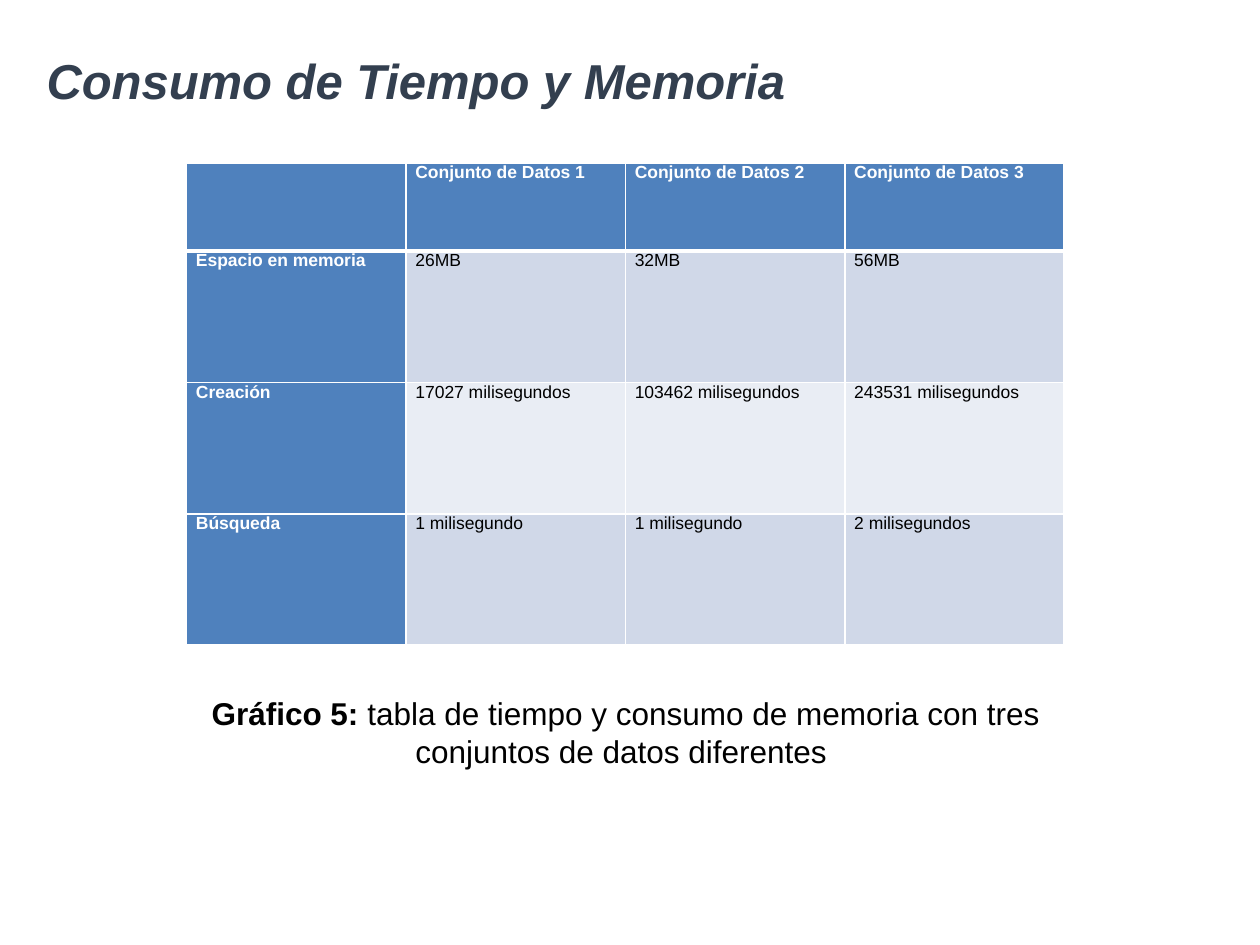
from pptx import Presentation
from pptx.dml.color import RGBColor
from pptx.enum import text
from pptx.oxml import parse_xml
from pptx.oxml.ns import nsdecls
from pptx.util import Pt

BLUE, WHITE, BLACK = "4F81BD", "FFFFFF", "000000"
BANDS = ["D0D8E8", "E9EDF4"]


def add_text(p, words, size=10, color=BLACK, bold=False, italic=False, align=None):
    r = p.add_run()
    r.text = words
    r.font.name, r.font.size = "Arial", Pt(size)
    r.font.bold, r.font.italic = bold, italic
    r.font.color.rgb = RGBColor.from_string(color)
    if align is not None:
        p.alignment = align


def add_border(cell, side, width):
    cell._tc.get_or_add_tcPr().append(parse_xml(
        f'<a:{side} {nsdecls("a")} w="{Pt(width)}"><a:solidFill>'
        f'<a:srgbClr val="{WHITE}"/></a:solidFill></a:{side}>'))


prs = Presentation()
prs.slide_width, prs.slide_height = Pt(720), Pt(540)
s = prs.slides.add_slide(prs.slide_layouts[5])

# Title
title = s.shapes.title
title.left, title.top, title.width, title.height = Pt(19.4), Pt(23.8), Pt(620.6), Pt(48.2)
tf = title.text_frame
tf.vertical_anchor = text.MSO_ANCHOR.MIDDLE
tf.auto_size = text.MSO_AUTO_SIZE.NONE
tf.paragraphs[0].line_spacing = 0.9
add_text(tf.paragraphs[0], "Consumo de Tiempo y Memoria", size=28, color="333F4F",
         bold=True, italic=True, align=text.PP_ALIGN.LEFT)

# Table
rows = [
    ["", "Conjunto de Datos 1", "Conjunto de Datos 2", "Conjunto de Datos 3"],
    ["Espacio en memoria", "26MB", "32MB", "56MB"],
    ["Creación", "17027 milisegundos", "103462 milisegundos", "243531 milisegundos"],
    ["Búsqueda", "1 milisegundo", "1 milisegundo", "2 milisegundos"],
]
table = s.shapes.add_table(4, 4, Pt(106.6), Pt(93), Pt(501.6), Pt(275.7)).table
for col in table.columns:
    col.width = Pt(125.4)
for i, row in enumerate(rows):
    table.rows[i].height = Pt(75.1 if i else 50.4)
    for j, words in enumerate(row):
        cell = table.cell(i, j)
        heading = i == 0 or j == 0
        cell.margin_left = cell.margin_right = Pt(5.4)
        cell.margin_top = cell.margin_bottom = 0
        for side in ("lnL", "lnR", "lnT", "lnB"):
            thick = (i, side) in [(0, "lnB"), (1, "lnT")]
            add_border(cell, side, 3 if thick else 1)
        cell.fill.solid()
        cell.fill.fore_color.rgb = RGBColor.from_string(BLUE if heading else BANDS[(i - 1) % 2])
        if words:
            p = cell.text_frame.paragraphs[0]
            p.space_after = Pt(6)
            add_text(p, words, color=WHITE if heading else BLACK, bold=heading,
                     align=text.PP_ALIGN.JUSTIFY)

# Caption
caption = s.shapes.add_textbox(Pt(106.6), Pt(393.1), Pt(501.8), Pt(51))
tf = caption.text_frame
tf.word_wrap = True
tf.auto_size = text.MSO_AUTO_SIZE.SHAPE_TO_FIT_TEXT
p = tf.paragraphs[0]
add_text(p, "Gráfico 5:", size=18, bold=True, align=text.PP_ALIGN.CENTER)
add_text(p, " tabla de tiempo y consumo de memoria con tres conjuntos de datos diferentes ", size=18)

prs.save("out.pptx")
